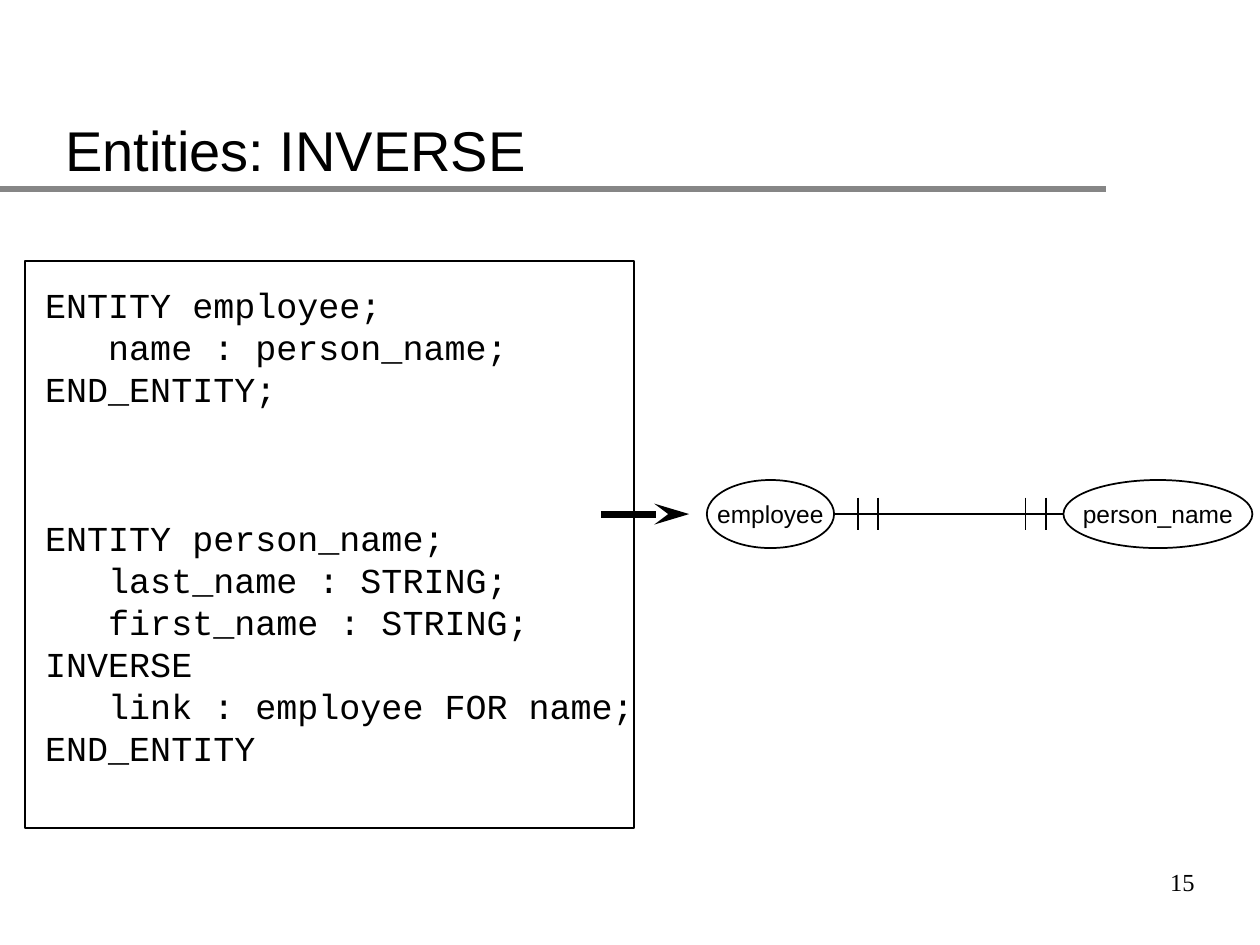
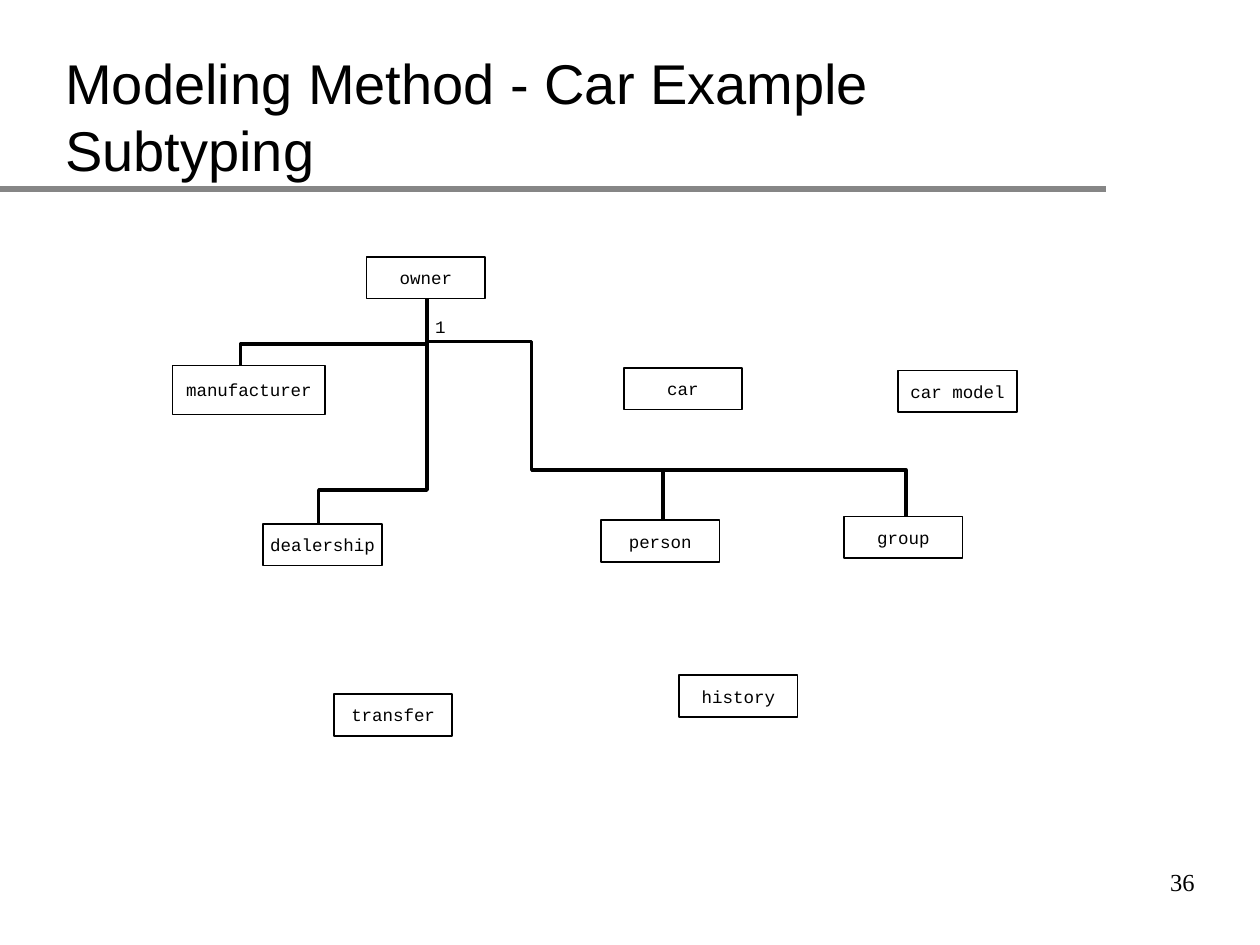
from dataclasses import dataclass

from lxml import etree
from pptx import Presentation
from pptx.dml.color import RGBColor
from pptx.enum.shapes import MSO_CONNECTOR, MSO_SHAPE
from pptx.enum.text import MSO_ANCHOR, PP_ALIGN
from pptx.oxml.ns import qn
from pptx.util import Inches, Pt

STRAIGHT = MSO_CONNECTOR.STRAIGHT
RECTANGLE, OVAL = MSO_SHAPE.RECTANGLE, MSO_SHAPE.OVAL
TOP, MIDDLE, BOTTOM = MSO_ANCHOR.TOP, MSO_ANCHOR.MIDDLE, MSO_ANCHOR.BOTTOM
LEFT, CENTER, RIGHT = PP_ALIGN.LEFT, PP_ALIGN.CENTER, PP_ALIGN.RIGHT


@dataclass(frozen=True)
class TextStyle:
    font: str
    size: int


@dataclass(frozen=True)
class Theme:
    ink: RGBColor = RGBColor(0x00, 0x00, 0x00)
    paper: RGBColor = RGBColor(0xFF, 0xFF, 0xFF)
    rule: RGBColor = RGBColor(0x86, 0x86, 0x86)
    title: TextStyle = TextStyle("Arial", 32)
    number: TextStyle = TextStyle("Times New Roman", 14)
    code: TextStyle = TextStyle("Courier New", 20)
    entity: TextStyle = TextStyle("Arial", 14)
    node: TextStyle = TextStyle("Courier New", 10)
    thin: int = 1
    medium: int = 2
    thick: int = 4


THEME = Theme()


@dataclass(frozen=True)
class Box:
    left: float
    top: float
    width: float
    height: float

    def inside(self, left, top, width, height):
        """Place a box relative to this one."""
        return Box(self.left + left, self.top + top, width, height)

    def point(self, x, y):
        return self.left + x, self.top + y

    def lengths(self):
        return [Inches(value) for value in (self.left, self.top, self.width, self.height)]


# Shared drawing helpers

def write_text(shape, lines, style, alignment=LEFT, anchor=TOP, wrap=False):
    frame = shape.text_frame
    frame.word_wrap = wrap
    frame.vertical_anchor = anchor
    for index, line in enumerate(lines):
        paragraph = frame.paragraphs[0] if index == 0 else frame.add_paragraph()
        paragraph.alignment = alignment
        run = paragraph.add_run()
        run.text = line
        run.font.name = style.font
        run.font.size = Pt(style.size)
        run.font.color.rgb = THEME.ink


def add_text(slide, box, lines, style, **layout):
    write_text(slide.shapes.add_textbox(*box.lengths()), lines, style, **layout)


def add_outlined(slide, kind, box, label=None, style=None):
    shape = slide.shapes.add_shape(kind, *box.lengths())
    shape.shadow.inherit = False
    shape.fill.solid()
    shape.fill.fore_color.rgb = THEME.paper
    shape.line.color.rgb = THEME.ink
    shape.line.width = Pt(THEME.thin)
    if label:
        write_text(shape, [label], style, alignment=CENTER, anchor=MIDDLE)


def add_line(slide, start, end, width=THEME.thin, color=THEME.ink, arrow=False):
    connector = slide.shapes.add_connector(
        STRAIGHT, *[Inches(value) for value in (*start, *end)])
    connector.line.color.rgb = color
    connector.line.width = Pt(width)
    properties = connector.element.spPr
    if arrow:
        etree.SubElement(properties.find(qn("a:ln")), qn("a:tailEnd"),
                         type="stealth", len="lg")
    etree.SubElement(properties, qn("a:effectLst"))


def add_branch(slide, points):
    start, *rest = [(Inches(x), Inches(y)) for x, y in points]
    builder = slide.shapes.build_freeform(*start)
    builder.add_line_segments(rest, close=False)
    branch = builder.convert_to_shape()
    branch.shadow.inherit = False
    branch.fill.background()
    branch.line.color.rgb = THEME.ink
    branch.line.width = Pt(THEME.medium)


def add_titled_slide(presentation, title, number):
    slide = presentation.slides.add_slide(presentation.slide_layouts[6])
    add_line(slide, (0, 1.5), (8.78, 1.5), THEME.thick, THEME.rule)
    add_text(slide, Box(7.5, 6.75, 2.08, 0.5), [str(number)], THEME.number,
             alignment=RIGHT, anchor=MIDDLE)
    add_text(slide, Box(0.42, 0.29, 8.5, 1.21), [title], THEME.title,
             anchor=BOTTOM, wrap=True)
    return slide


# Slide regions

EMPLOYEE_CODE = [
    "ENTITY employee;",
    "   name : person_name;",
    "END_ENTITY;",
]
PERSON_NAME_CODE = [
    "ENTITY person_name;",
    "   last_name : STRING;",
    "   first_name : STRING;",
    "INVERSE",
    "   link : employee FOR name;",
    "END_ENTITY",
]


def draw_code_panel(slide, box):
    add_outlined(slide, RECTANGLE, box)
    add_text(slide, box.inside(0.06, 0.13, 3.88, 1.1), EMPLOYEE_CODE, THEME.code)
    add_text(slide, box.inside(0.06, 1.98, 4.88, 2.1), PERSON_NAME_CODE, THEME.code)


def draw_relationship(slide, box):
    employee_width, name_width = 1.01, 1.5
    name_left = box.width - name_width
    middle = box.height / 2
    add_line(slide, box.point(employee_width, middle), box.point(name_left, middle))
    add_outlined(slide, OVAL, box.inside(0, 0, employee_width, box.height),
                 "employee", THEME.entity)
    add_outlined(slide, OVAL, box.inside(name_left, 0, name_width, box.height),
                 "person_name", THEME.entity)
    # Two cardinality ticks at each end
    for x in (1.2, 1.36, 2.53, 2.69):
        add_line(slide, box.point(x, middle - 0.13), box.point(x, middle + 0.13))


NODE_SIZE = (0.94, 0.33)
NODES = [
    ("owner", 1.54, 0, NODE_SIZE),
    ("manufacturer", 0, 0.86, (1.21, 0.39)),
    ("car", 3.58, 0.88, NODE_SIZE),
    ("car model", 5.76, 0.9, NODE_SIZE),
    ("dealership", 0.72, 2.12, NODE_SIZE),
    ("person", 3.4, 2.09, NODE_SIZE),
    ("group", 5.33, 2.06, NODE_SIZE),
    ("transfer", 1.28, 3.47, NODE_SIZE),
    ("history", 4.02, 3.32, NODE_SIZE),
]
TRUNK = 2.02
BRANCHES = [
    # owner to manufacturer
    [(TRUNK, 0.33), (TRUNK, 0.69), (0.54, 0.69), (0.54, 0.86)],
    # trunk to dealership
    [(TRUNK, 0.69), (TRUNK, 1.85), (1.16, 1.85), (1.16, 2.12)],
    # trunk to person
    [(TRUNK, 0.67), (2.85, 0.67), (2.85, 1.69), (3.89, 1.69), (3.89, 2.09)],
    # person branch to group
    [(3.89, 1.69), (5.82, 1.69), (5.82, 2.06)],
]


def draw_subtype_tree(slide, box):
    for branch in BRANCHES:
        add_branch(slide, [box.point(x, y) for x, y in branch])
    add_text(slide, box.inside(1.98, 0.42, 0.29, 0.27), ["1"], THEME.node, alignment=CENTER)
    for label, left, top, size in NODES:
        add_outlined(slide, RECTANGLE, box.inside(left, top, *size), label, THEME.node)


# Slides

def build_inverse_slide(presentation):
    slide = add_titled_slide(presentation, "Entities: INVERSE", 15)
    draw_code_panel(slide, Box(0.2, 2.07, 4.83, 4.5))
    draw_relationship(slide, Box(5.61, 3.81, 4.33, 0.54))
    add_line(slide, (4.77, 4.08), (5.47, 4.08), THEME.thick, arrow=True)


def build_subtyping_slide(presentation):
    slide = add_titled_slide(presentation, "Modeling Method - Car Example Subtyping", 36)
    draw_subtype_tree(slide, Box(1.37, 2.04, 6.7, 3.8))


def main():
    presentation = Presentation()
    presentation.slide_width = Inches(10)
    presentation.slide_height = Inches(7.5)
    build_inverse_slide(presentation)
    build_subtyping_slide(presentation)
    presentation.save("out.pptx")


if __name__ == "__main__":
    main()
